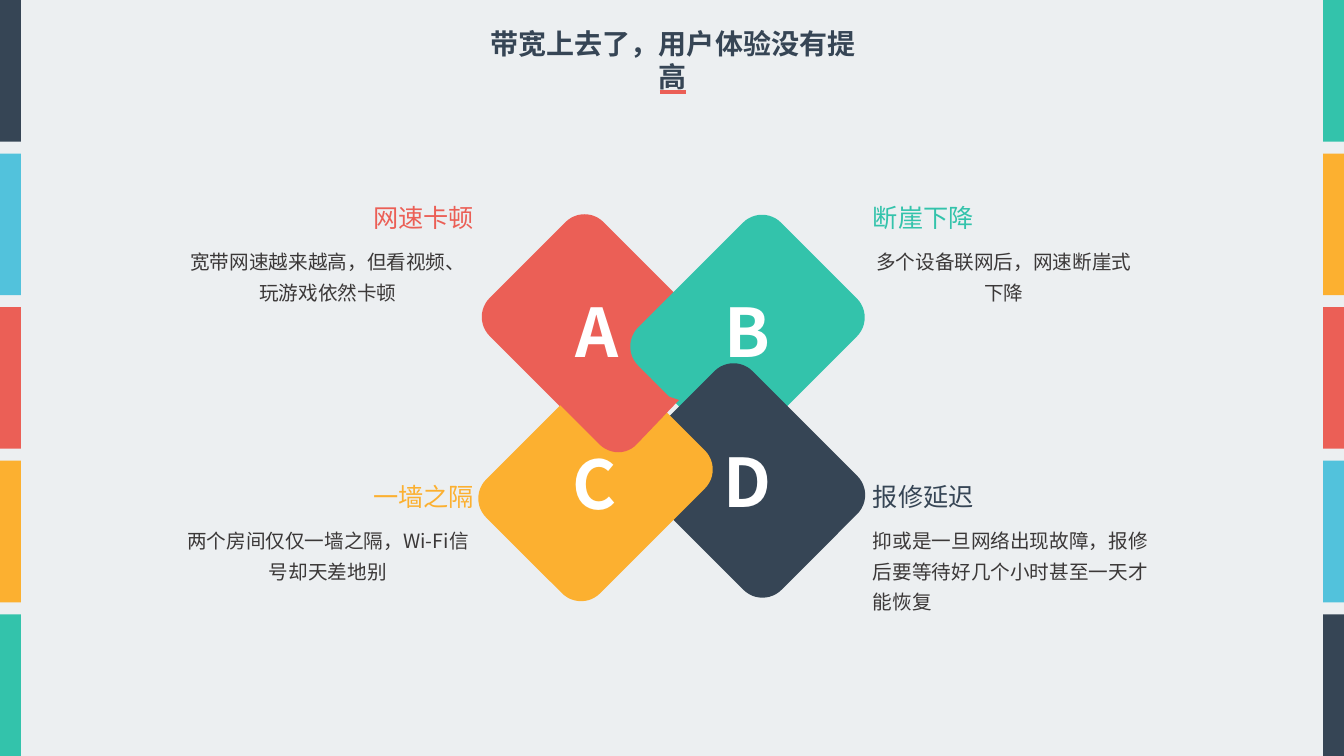
from lxml import etree
from pptx import Presentation
from pptx import util as u
from pptx.dml.color import RGBColor
from pptx.enum import shapes, text
from pptx.oxml.ns import qn

# Content: boxes are (left, top, width, height) in px
TITLE = "带宽上去了，用户体验没有提高"
PROBLEMS = [  # letter, colour, diamond, letter corner, heading, detail, side, detail box, detail align
    ("A", "red", (498, 251, 202, 161), (537, 285), "网速卡顿",
     "宽带网速越来越高，但看视频、玩游戏依然卡顿", "left", (173, 238, 310, 71), "center"),
    ("B", "green", (667, 231, 161, 202), (687, 285), "断崖下降",
     "多个设备联网后，网速断崖式下降", "right", (863, 238, 282, 71), "center"),
    ("D", "navy", (647, 400, 202, 161), (687, 435), "报修延迟",
     "抑或是一旦网络出现故障，报修后要等待好几个小时甚至一天才能恢复",
     "right", (863, 517, 307, 103), "left"),
    ("C", "yellow", (515, 383, 161, 202), (534, 437), "一墙之隔",
     "两个房间仅仅一墙之隔，Wi-Fi信号却天差地别", "left", (173, 517, 310, 71), "center"),
]
BARS = ["green", "yellow", "red", "blue", "navy"]
# Overlap of A on C: each step is one line end or three Bézier points
FOLD_START = (528, 373)
FOLD_STEPS = [
    [(558, 373), (585, 366), (614, 366)],
    [(651, 378)],
    [(642, 387), (649, 390), (679, 400)],
    [(637, 444)],
    [(627, 455), (610, 455), (599, 444)],
]

THEME = {
    "font": "Noto Sans CJK SC",
    "colors": {"background": "ECEFF1", "navy": "364555", "blue": "52C2DC", "red": "EB5F56",
               "yellow": "FCB030", "green": "33C3AB", "body": "3B3838", "white": "FFFFFF"},
    "sizes": {"title": 20, "heading": 18, "body": 14, "letter": 48},
}
WIDTH, HEIGHT = 1344, 756
BAR_WIDTH, BAR_GAP = 21, 12
PX = u.Inches(1) / 100.8
ALIGN = {"left": text.PP_ALIGN.LEFT, "center": text.PP_ALIGN.CENTER, "right": text.PP_ALIGN.RIGHT}


def px(*lengths):
    return [u.Emu(round(n * PX)) for n in lengths]


def color(name):
    return RGBColor.from_string(THEME["colors"][name])


def write(box, words, role, color_name, align, bold=False, spacing=None):
    frame = box.text_frame
    frame_format = {"word_wrap": True, "vertical_anchor": text.MSO_ANCHOR.TOP,
                    "auto_size": text.MSO_AUTO_SIZE.SHAPE_TO_FIT_TEXT}
    for key, value in frame_format.items():
        setattr(frame, key, value)
    line = frame.paragraphs[0]
    line.alignment = ALIGN[align]
    line.line_spacing = spacing
    run = line.add_run()
    run.text = words
    font_format = {"name": THEME["font"], "size": u.Pt(THEME["sizes"][role]), "bold": bold}
    for key, value in font_format.items():
        setattr(run.font, key, value)
    run.font.color.rgb = color(color_name)
    east_asian = etree.SubElement(run._r.get_or_add_rPr(), qn("a:ea"))
    east_asian.set("typeface", THEME["font"])


def paint(shape, color_name):
    shape.shadow.inherit = False
    shape.fill.solid()
    shape.fill.fore_color.rgb = color(color_name)
    shape.line.fill.background()


def curve(start, first, second, end, steps=12):
    for i in range(1, steps + 1):
        t = i / steps
        weights = ((1 - t) ** 3, 3 * t * (1 - t) ** 2, 3 * t * t * (1 - t), t ** 3)
        yield tuple(sum(w * p[axis] for w, p in zip(weights, (start, first, second, end)))
                    for axis in (0, 1))


def main():
    deck = Presentation()
    deck.slide_width, deck.slide_height = px(WIDTH, HEIGHT)
    slide = deck.slides.add_slide(deck.slide_layouts[5])
    slide.background.fill.solid()
    slide.background.fill.fore_color.rgb = color("background")
    parts = slide.shapes

    # Title and its underline
    title = parts.title
    title.left, title.top, title.width, title.height = px(467, 21, 412, 44)
    write(title, TITLE, "title", "navy", "center", bold=True)
    underline = parts.add_connector(shapes.MSO_CONNECTOR.STRAIGHT, *px(660, 92, 686, 92))
    underline.line.color.rgb = color("red")
    underline.line.width = u.Pt(2.25)
    etree.SubElement(underline._element.spPr, qn("a:effectLst"))

    # Headings, details and diamonds
    for _, hue, diamond_box, _, heading, detail, side, detail_box, align in PROBLEMS:
        heading_left, heading_align = (363, "right") if side == "left" else (863, "left")
        heading_top = detail_box[1] - 41
        write(parts.add_textbox(*px(heading_left, heading_top, 121, 40)),
              heading, "heading", hue, heading_align)
        write(parts.add_textbox(*px(*detail_box)), detail, "body", "body", align, spacing=1.3)
        diamond = parts.add_shape(shapes.MSO_SHAPE.ROUNDED_RECTANGLE, *px(*diamond_box))
        diamond.rotation = 45
        paint(diamond, hue)

    # Letters above all diamonds
    for letter, _, _, corner, *_ in PROBLEMS:
        write(parts.add_textbox(*px(*corner, 121, 92)), letter, "letter", "white", "center", bold=True)

    # Fold that brings A in front of C
    outline = [FOLD_START]
    for step in FOLD_STEPS:
        outline.extend(curve(outline[-1], *step) if len(step) == 3 else step)
    fold = parts.build_freeform(*px(*FOLD_START))
    fold.add_line_segments([px(*point) for point in outline[1:]], close=True)
    paint(fold.convert_to_shape(), "red")

    # Side bars, in opposite order on the two edges
    bar_height = (HEIGHT - BAR_GAP * (len(BARS) - 1)) / len(BARS)
    for left, hues in ((WIDTH - BAR_WIDTH, BARS), (0, BARS[::-1])):
        for row, hue in enumerate(hues):
            top = row * (bar_height + BAR_GAP)
            bar = parts.add_shape(shapes.MSO_SHAPE.RECTANGLE, *px(left, top, BAR_WIDTH, bar_height))
            paint(bar, hue)

    deck.save("out.pptx")


if __name__ == "__main__":
    main()
